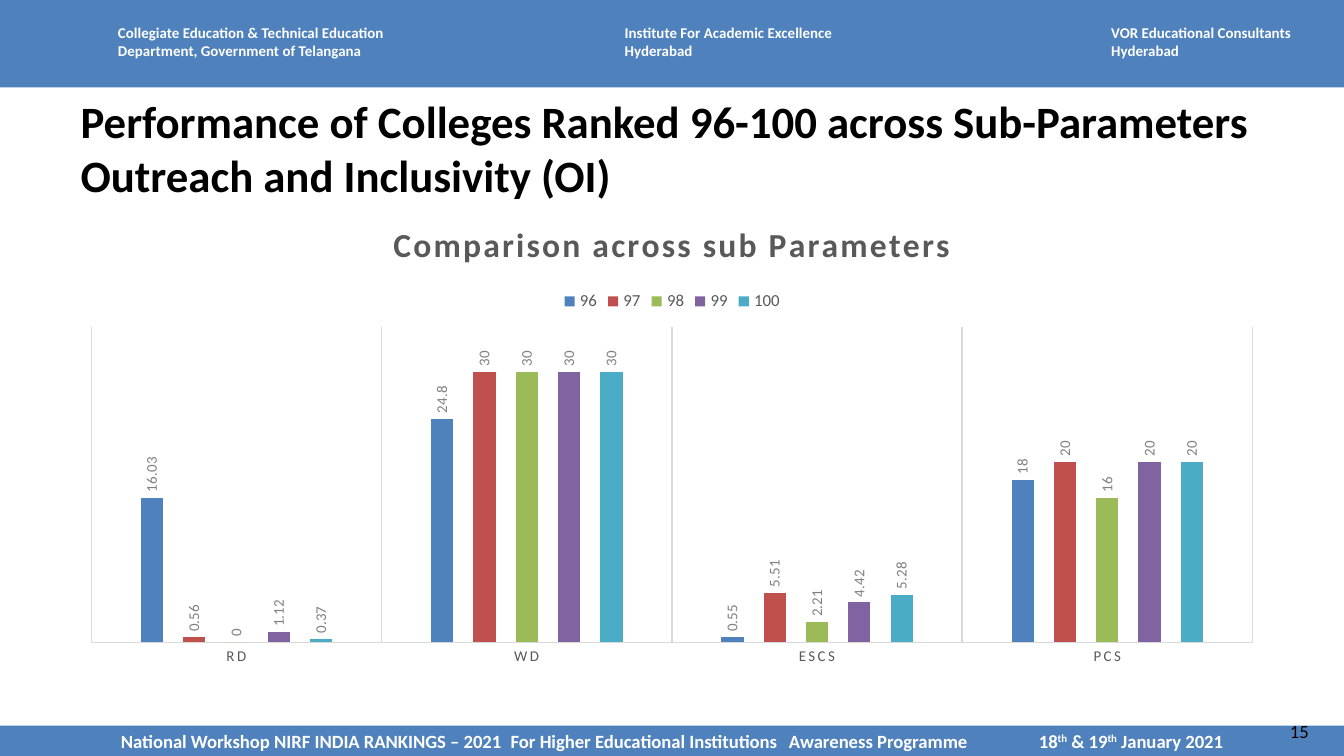
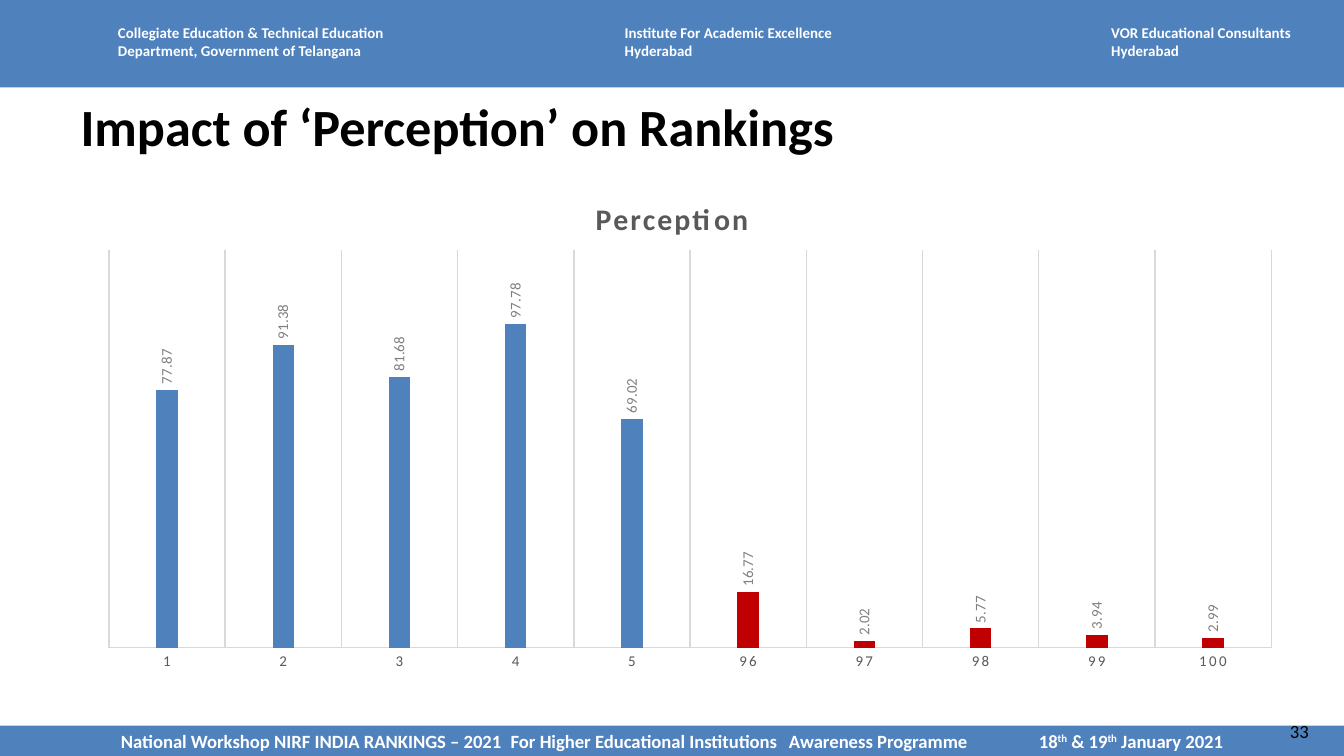
from pptx import Presentation
from pptx.chart.data import CategoryChartData
from pptx.dml.color import RGBColor
from pptx.enum.chart import (XL_CHART_TYPE as ChartType, XL_LABEL_POSITION as LabelPosition,
                             XL_LEGEND_POSITION as LegendPosition, XL_TICK_MARK as TickMark)
from pptx.enum.shapes import MSO_SHAPE as Shape
from pptx.enum.text import MSO_ANCHOR as Anchor, MSO_AUTO_SIZE as AutoSize, PP_ALIGN as Align
from pptx.oxml.ns import qn
from pptx.util import Inches, Pt
from lxml.etree import SubElement

FONT = "Calibri"
WHITE = RGBColor(0xFF, 0xFF, 0xFF)
BLACK = RGBColor(0x00, 0x00, 0x00)
BLUE = RGBColor(0x4F, 0x81, 0xBD)
RED = RGBColor(0xC0, 0x50, 0x4D)
GREEN = RGBColor(0x9B, 0xBB, 0x59)
PURPLE = RGBColor(0x80, 0x64, 0xA2)
TEAL = RGBColor(0x4B, 0xAC, 0xC6)
DARK_RED = RGBColor(0xC0, 0x00, 0x00)
DARK_GREY = RGBColor(0x59, 0x59, 0x59)
GREY = RGBColor(0x80, 0x80, 0x80)
LIGHT_GREY = RGBColor(0xD9, 0xD9, 0xD9)
SERIES_COLOURS = [BLUE, RED, GREEN, PURPLE, TEAL]

SLIDE_WIDTH = Inches(10)
SLIDE_HEIGHT = SLIDE_WIDTH * 9 // 16
CHART_LEFT, CHART_WIDTH = 0.5, 9

HOSTS = [
    (0.78, 2.26, ["Collegiate Education & Technical Education", "Department, Government of Telangana"]),
    (4.55, 1.76, ["Institute For Academic Excellence", "Hyderabad"]),
    (8.17, 1.67, ["VOR Educational Consultants", "Hyderabad"]),
]
FOOTER_LEFT = 0.9
FOOTER_STOPS = [3.8, 5.87, 7.73]
FOOTER = [
    ("National Workshop NIRF INDIA RANKINGS – 2021\tFor Higher Educational Institutions"
     "\tAwareness Programme\t18", False),
    ("th", True), (" & 19", False), ("th", True), (" January 2021", False),
]
SLIDES = [
    {
        "number": "15",
        "title": "Performance of Colleges Ranked 96-100 across Sub-Parameters Outreach and Inclusivity (OI)",
        "title_size": 24,
        "chart_title": "Comparison across sub Parameters",
        "chart_title_size": 18,
        "top": 1.48, "height": 3.55,
        "plot_box": (0.68, 2.43, 8.64, 2.35),
        "legend_corner": (4.16, 2.13),
        "maximum": 35,
        "categories": ["RD", "WD", "ESCS", "PCS"],
        "series": {
            "96": [16.03, 24.8, 0.55, 18],
            "97": [0.56, 30, 5.51, 20],
            "98": [0, 30, 2.21, 16],
            "99": [1.12, 30, 4.42, 20],
            "100": [0.37, 30, 5.28, 20],
        },
        "low_ranked": [],
    },
    {
        "number": "33",
        "title": "Impact of ‘Perception’ on Rankings",
        "title_size": 28,
        "chart_title": "Perception",
        "chart_title_size": 16,
        "top": 1.31, "height": 3.71,
        "plot_box": (0.81, 1.86, 8.65, 2.96),
        "legend_corner": None,
        "maximum": 120,
        "categories": ["1", "2", "3", "4", "5", "96", "97", "98", "99", "100"],
        "series": {"Perception": [77.87, 91.38, 81.68, 97.78, 69.02, 16.77, 2.02, 5.77, 3.94, 2.99]},
        "low_ranked": range(5, 10),
    },
]


def style(font, size, colour, bold=False):
    font.name, font.size, font.bold = FONT, Pt(size), bold
    font.color.rgb = colour


def add_text(slide, left, top, width, height, lines, size, colour, bold=False):
    frame = slide.shapes.add_textbox(Inches(left), Inches(top), Inches(width), Inches(height)).text_frame
    frame.word_wrap = True
    frame.text = "\n".join(lines)
    for paragraph in frame.paragraphs:
        style(paragraph.font, size, colour, bold)


def add_band(slide, top, height):
    band = slide.shapes.add_shape(Shape.RECTANGLE, 0, Inches(top), SLIDE_WIDTH, Inches(height))
    band.shadow.inherit = False
    band.fill.solid()
    band.fill.fore_color.rgb = BLUE
    band.line.fill.background()
    return band


def add_footer(slide):
    frame = add_band(slide, 5.4, 0.23).text_frame
    frame.margin_left = Inches(FOOTER_LEFT)
    frame.margin_right = frame.margin_top = frame.margin_bottom = 0
    frame.vertical_anchor = Anchor.MIDDLE
    frame.word_wrap = False
    paragraph = frame.paragraphs[0]
    paragraph.alignment = Align.LEFT
    tabs = SubElement(paragraph._p.get_or_add_pPr(), qn("a:tabLst"))
    for stop in FOOTER_STOPS:
        SubElement(tabs, qn("a:tab"), pos=str(Inches(stop - FOOTER_LEFT)), algn="l")
    style(paragraph.font, 10, WHITE, True)
    for text, raised in FOOTER:
        run = paragraph.add_run()
        run.text = text
        run.font.color.rgb = WHITE
        if raised:
            run.font._element.set("baseline", "30000")


def add_frame(slide, number):
    add_band(slide, 0, 0.65)
    for left, width, lines in HOSTS:
        add_text(slide, left, 0.13, width, 0.37, lines, 8, WHITE, True)
    add_footer(slide)
    add_text(slide, 9.5, 5.31, 0.5, 0.27, [number], 10, BLACK)


def set_title(slide, text, size):
    title = slide.shapes.title
    title.left, title.top, title.width, title.height = map(Inches, (0.5, 0.65, 9, 0.52))
    frame = title.text_frame
    frame.text = text
    frame.auto_size = AutoSize.NONE
    frame.vertical_anchor = Anchor.TOP
    frame.paragraphs[0].alignment = Align.LEFT
    style(frame.paragraphs[0].font, size, BLACK, True)


def place(element, index, content, left, top, *size):
    for old in element.findall(qn("c:layout")):
        element.remove(old)
    layout = SubElement(element, qn("c:layout"))
    element.insert(index, layout)
    manual = SubElement(layout, qn("c:manualLayout"))
    if size:
        SubElement(manual, qn("c:layoutTarget"), val="inner")
    for key in "xy":
        SubElement(manual, qn(f"c:{key}Mode"), val="edge")
    lengths = (left - CHART_LEFT, top - content["top"], *size)
    wholes = (CHART_WIDTH, content["height"]) * 2
    for key, length, whole in zip("xywh", lengths, wholes):
        SubElement(manual, qn(f"c:{key}"), val=str(length / whole))


def format_axes(chart, maximum):
    value_axis = chart.value_axis
    value_axis.visible = False
    value_axis.has_major_gridlines = False
    value_axis.minimum_scale, value_axis.maximum_scale = 0, maximum
    axis = chart.category_axis
    axis.major_tick_mark = axis.minor_tick_mark = TickMark.NONE
    axis.has_major_gridlines = True
    style(axis.tick_labels.font, 8, DARK_GREY)
    for line in (axis.format.line, axis.major_gridlines.format.line):
        line.color.rgb = LIGHT_GREY
        line.width = Pt(0.75)


def format_bars(plot, low_ranked):
    plot.gap_width, plot.overlap = 444, -90
    plot.vary_by_categories = False
    for series, colour in zip(plot.series, SERIES_COLOURS):
        series.format.fill.solid()
        series.format.fill.fore_color.rgb = colour
        for index in low_ranked:
            fill = series.points[index].format.fill
            fill.solid()
            fill.fore_color.rgb = DARK_RED
    plot.has_data_labels = True
    labels = plot.data_labels
    labels.show_value = True
    labels.position = LabelPosition.OUTSIDE_END
    style(labels.font, 8, GREY)


def add_chart(slide, content):
    data = CategoryChartData()
    data.categories = content["categories"]
    for name, values in content["series"].items():
        data.add_series(name, values)
    chart = slide.shapes.add_chart(ChartType.COLUMN_CLUSTERED, Inches(CHART_LEFT), Inches(content["top"]),
                                   Inches(CHART_WIDTH), Inches(content["height"]), data).chart
    style(chart.font, 10, BLACK)
    chart.has_title = True
    chart.chart_title.include_in_layout = False
    frame = chart.chart_title.text_frame
    frame.text = content["chart_title"]
    style(frame.paragraphs[0].font, content["chart_title_size"], DARK_GREY, True)
    format_axes(chart, content["maximum"])
    format_bars(chart.plots[0], content["low_ranked"])

    space = chart._chartSpace
    for font in space.xpath("c:chart/c:title//a:defRPr | .//c:catAx/c:txPr//a:defRPr"):
        font.set("spc", "120")
    for body in space.xpath(".//c:barChart/c:dLbls/c:txPr/a:bodyPr"):
        body.set("rot", "-5400000")
        body.set("vert", "horz")
    place(space.xpath("c:chart/c:plotArea")[0], 0, content, *content["plot_box"])

    chart.has_legend = content["legend_corner"] is not None
    if chart.has_legend:
        chart.legend.position = LegendPosition.TOP
        chart.legend.include_in_layout = False
        style(chart.legend.font, 9, DARK_GREY)
        place(space.xpath("c:chart/c:legend")[0], 1, content, *content["legend_corner"])


def main():
    presentation = Presentation()
    presentation.slide_width, presentation.slide_height = SLIDE_WIDTH, SLIDE_HEIGHT
    for content in SLIDES:
        slide = presentation.slides.add_slide(presentation.slide_layouts[5])
        add_frame(slide, content["number"])
        set_title(slide, content["title"], content["title_size"])
        add_chart(slide, content)
    presentation.save("out.pptx")


if __name__ == "__main__":
    main()
